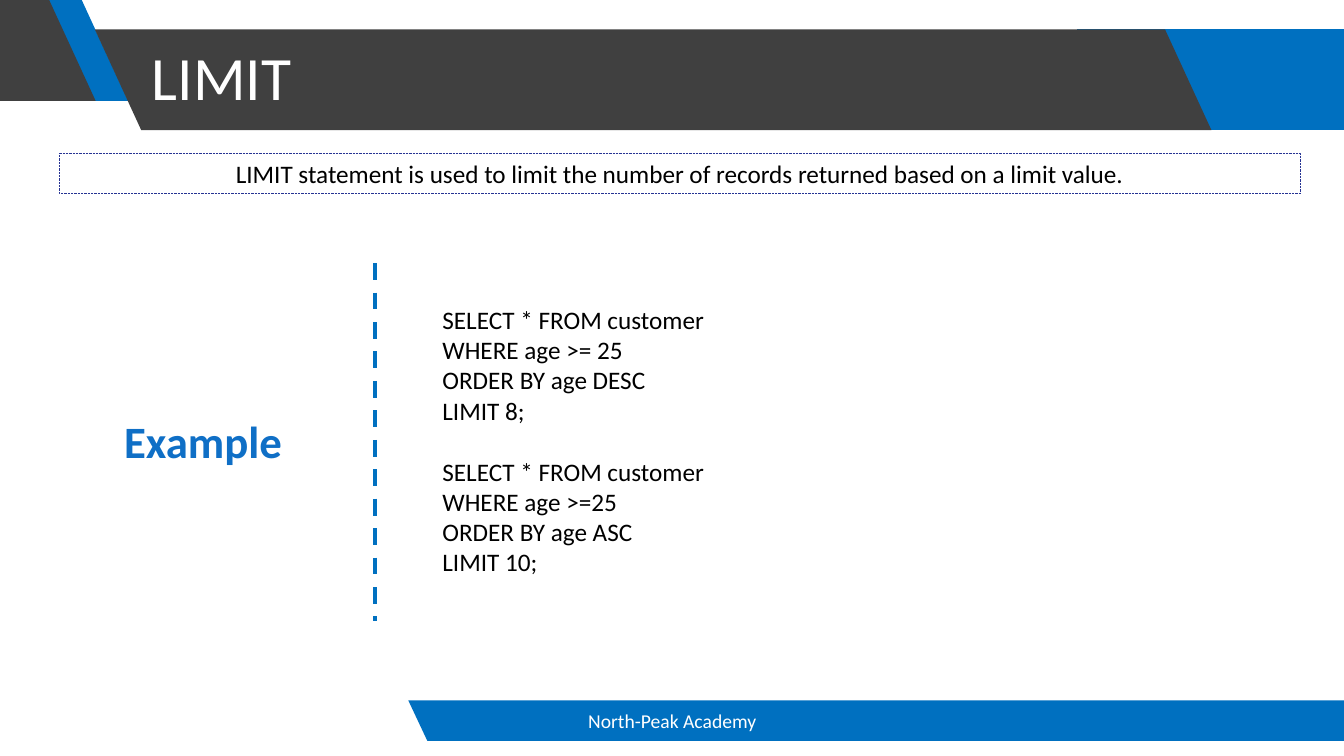
from pptx import Presentation, util as u
from pptx.dml.color import RGBColor
from pptx.enum import dml, shapes, text
from pptx.oxml.ns import qn
from lxml import etree

BLUE, DARK, WHITE, BLACK = "0070C0", "404040", "FFFFFF", "000000"
WIDTH, HEIGHT = 33.87, 19.05
QUERIES = [
    ["SELECT * FROM customer", "WHERE age >= 25", "ORDER BY age DESC", "LIMIT 8;"],
    ["SELECT * FROM customer", "WHERE age >=25", "ORDER BY age ASC", "LIMIT 10;"],
]


def rgb(value):
    return RGBColor.from_string(value)


def apply(target, values):
    for name, value in values.items():
        setattr(target, name, value)


def add_band(s, box, color, left_slant=0, right_slant=0):
    x, y, w, h = box
    corners = [(x, y), (x + w, y), (x + w + right_slant, y + h), (x + left_slant, y + h)]
    points = [(u.Cm(px), u.Cm(py)) for px, py in corners]
    builder = s.shapes.build_freeform(*points[0], scale=1.0)
    builder.add_line_segments(points[1:], close=True)
    sp = builder.convert_to_shape()
    sp.shadow.inherit = False
    sp.fill.solid()
    sp.fill.fore_color.rgb = rgb(color)
    sp.line.fill.background()


def write(sp, lines, size, color, align=text.PP_ALIGN.LEFT, bold=False,
          anchor=text.MSO_ANCHOR.TOP):
    tf = sp.text_frame
    apply(tf, {"word_wrap": True, "vertical_anchor": anchor})
    for i, line in enumerate(lines):
        p = tf.paragraphs[0] if i == 0 else tf.add_paragraph()
        p.alignment = align
        r = p.add_run()
        r.text = line
        apply(r.font, {"name": "Calibri", "size": u.Pt(size), "bold": bold})
        r.font.color.rgb = rgb(color)
    return tf


def add_text(s, box, lines, size, color, **style):
    sp = s.shapes.add_textbox(*map(u.Cm, box))
    return write(sp, lines, size, color, **style)


def add_header(s, box, title):
    x, y, w, h = box
    slant = 1.17
    add_band(s, (x + 27.13, y, w - 27.13, h), BLUE)
    add_band(s, (x + 0.86, 0, 1.2, h), BLUE, slant, slant)
    add_band(s, (x, 0, 1.24, h), DARK, 0, slant)
    add_band(s, (x + 2.39, y, 26.97, h), DARK, slant, slant)
    tf = add_text(s, (x + 3.58, y - 0.56, 25.76, 3.68), [title], 44, WHITE,
                  anchor=text.MSO_ANCHOR.MIDDLE)
    tf.paragraphs[0].line_spacing = 0.9


def add_footer(s, box, label):
    x, y, w, h = box
    add_band(s, box, BLUE, left_slant=0.48)
    add_text(s, (x + 0.94, y, 11.43, h), [label], 14, WHITE,
             align=text.PP_ALIGN.CENTER, anchor=text.MSO_ANCHOR.MIDDLE)


def add_definition(s, box, sentence):
    sp = s.shapes.add_shape(shapes.MSO_SHAPE.RECTANGLE, *map(u.Cm, box))
    sp.shadow.inherit = False
    sp.fill.background()
    sp.line.color.rgb = rgb("263393")
    apply(sp.line, {"width": u.Pt(0.5), "dash_style": dml.MSO_LINE.ROUND_DOT})
    write(sp, [sentence], 18, BLACK, align=text.PP_ALIGN.CENTER)


def add_example(s, box, label, queries):
    x, y, w, h = box
    divider = x + 8.66
    line = s.shapes.add_connector(shapes.MSO_CONNECTOR.STRAIGHT, u.Cm(divider), u.Cm(y),
                                  u.Cm(divider), u.Cm(y + h))
    line.line.color.rgb = rgb(BLUE)
    apply(line.line, {"width": u.Pt(3), "dash_style": dml.MSO_LINE.DASH})
    etree.SubElement(line._element.spPr, qn("a:effectLst"))
    add_text(s, (x, y + 3.68, 8.66, 1.63), [label], 32, "0F6FC6",
             align=text.PP_ALIGN.CENTER, bold=True)
    tf = add_text(s, (divider + 1.45, y + 0.91, w - 10.11, 7.19), sum(queries, []),
                  18, BLACK)
    tf.paragraphs[len(queries[0])].space_before = u.Pt(22)


def main():
    prs = Presentation()
    apply(prs, {"slide_width": u.Cm(WIDTH), "slide_height": u.Cm(HEIGHT)})
    s = prs.slides.add_slide(prs.slide_layouts[6])
    add_header(s, (0, 0.74, WIDTH, 2.54), "LIMIT")
    add_footer(s, (10.29, 17.65, WIDTH - 10.29, 1.02), "North-Peak Academy")
    add_definition(s, (1.5, 3.86, 31.27, 1.02),
                   "LIMIT statement is used to limit the number of records returned "
                   "based on a limit value.")
    add_example(s, (0.79, 6.63, 31.09, 9.02), "Example", QUERIES)
    prs.save("out.pptx")


if __name__ == "__main__":
    main()
